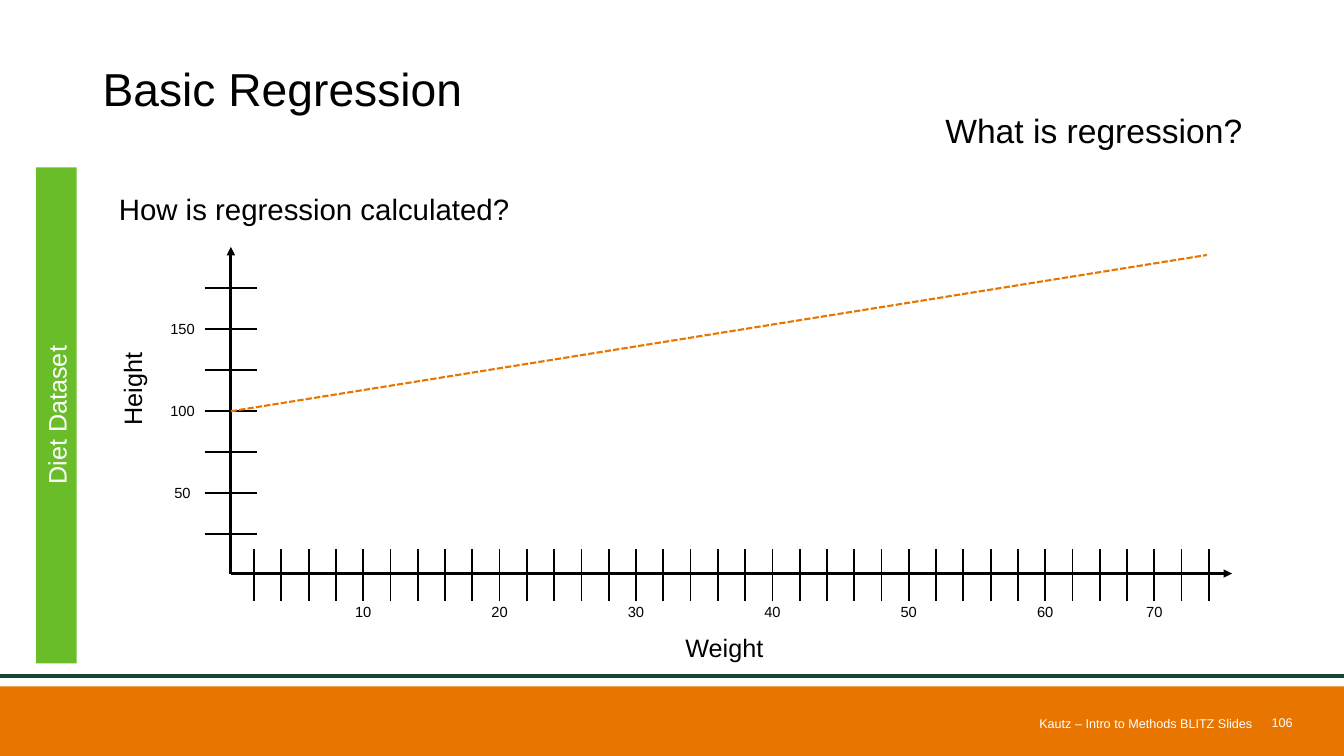
from lxml import etree
from pptx import Presentation
from pptx.dml.color import RGBColor
from pptx.enum.dml import MSO_LINE
from pptx.enum.shapes import MSO_CONNECTOR, MSO_SHAPE
from pptx.enum.text import MSO_ANCHOR, PP_ALIGN
from pptx.oxml.ns import qn
from pptx.util import Inches, Pt

LEFT, CENTER, RIGHT = PP_ALIGN.LEFT, PP_ALIGN.CENTER, PP_ALIGN.RIGHT
TOP, MIDDLE, BOTTOM = MSO_ANCHOR.TOP, MSO_ANCHOR.MIDDLE, MSO_ANCHOR.BOTTOM
STRAIGHT, RECTANGLE = MSO_CONNECTOR.STRAIGHT, MSO_SHAPE.RECTANGLE
DASHED = MSO_LINE.SQUARE_DOT

BLACK, WHITE = "000000", "FFFFFF"
ORANGE, DARK_GREEN, GREEN = "E87500", "154734", "69BD28"
COLUMNS, ROWS = 133.3, 75


def color(hex_text):
    return RGBColor.from_string(hex_text)


class SlideBuilder:
    """Draws on one slide; lengths are grid columns and rows."""

    font = "Arial"

    def __init__(self, deck):
        self.slide = deck.slides.add_slide(deck.slide_layouts[6])
        self.column = deck.slide_width / COLUMNS
        self.row = deck.slide_height / ROWS

    def place(self, x, y):
        return round(x * self.column), round(y * self.row)

    def set_text(self, box, text, size, ink, align, anchor, spacing=1):
        frame = box.text_frame
        frame.word_wrap = True
        frame.vertical_anchor = anchor
        frame.text = text
        para = frame.paragraphs[0]
        para.alignment = align
        para.line_spacing = spacing
        font = para.runs[0].font
        font.name, font.size = self.font, Pt(size)
        font.color.rgb = color(ink)

    def text(self, x, y, width, height, text, size, ink=BLACK, align=CENTER,
             anchor=TOP, spacing=1, rotation=0):
        box = self.slide.shapes.add_textbox(*self.place(x, y), *self.place(width, height))
        box.rotation = rotation
        self.set_text(box, text, size, ink, align, anchor, spacing)
        return box

    def block(self, x, y, width, height, fill):
        shape = self.slide.shapes.add_shape(
            RECTANGLE, *self.place(x, y), *self.place(width, height))
        shape.shadow.inherit = False
        shape.fill.solid()
        shape.fill.fore_color.rgb = color(fill)
        shape.line.fill.background()
        return shape

    def line(self, x1, y1, x2, y2, ink=BLACK, weight=1.25, arrow=False, dash=None):
        connector = self.slide.shapes.add_connector(
            STRAIGHT, *self.place(x1, y1), *self.place(x2, y2))
        connector.line.color.rgb = color(ink)
        connector.line.width = Pt(weight)
        if dash:
            connector.line.dash_style = dash
        properties = connector._element.spPr
        if arrow:
            outline = properties.find(qn("a:ln"))
            etree.SubElement(outline, qn("a:tailEnd"), type="triangle")
        etree.SubElement(properties, qn("a:effectLst"))


def draw_frame(page):
    page.block(0, 68.1, COLUMNS, 6.9, ORANGE)
    page.line(0, 67.1, COLUMNS, 67.1, DARK_GREEN, 3)
    heading = (9.2, 2.7, 115, 12.7)
    page.text(*heading, "Basic Regression", 33, align=LEFT, anchor=MIDDLE, spacing=0.9)
    page.text(*heading, "What is regression?", 24, align=RIGHT, anchor=BOTTOM, spacing=0.9)
    page.text(10.8, 18.9, 115, 47.7, "How is regression calculated?", 21,
              align=LEFT, spacing=0.9)
    page.text(124.2, 70.6, 5, 2.1, "106", 9, WHITE, RIGHT, MIDDLE)
    footer = page.text(44.2, 70.7, 80, 2.1, "Kautz – Intro to Methods BLITZ Slides",
                       9, WHITE, RIGHT, MIDDLE)
    footer.text_frame.margin_right = 0
    banner = page.block(-19, 39.2, 49.2, 4, GREEN)
    banner.rotation = 270
    page.set_text(banner, "Diet Dataset", 18, WHITE, CENTER, MIDDLE)


def draw_plot(page):
    origin_x, origin_y = 22.9, 56.9
    tick_half = 2.6

    first_y, step_y = 53, 4.07
    for index in range(7):
        y = first_y - index * step_y
        page.line(origin_x - tick_half, y, origin_x + tick_half, y)
        if index % 2:
            page.text(15.7, y - 1.4, 4.8, 2.8, str(25 * (index + 1)), 10.5)

    first_x, last_x, gaps = 25.2, 119.9, 35
    labels = {4: "10", 9: "20", 14: "30", 19: "40", 24: "50", 29: "60", 33: "70"}
    for index in range(gaps + 1):
        x = first_x + index * (last_x - first_x) / gaps
        page.line(x, origin_y - 2.4, x, origin_y + 2.7)
        if index in labels:
            page.text(x - 2, 59.3, 4, 2.8, labels[index], 10.5)

    page.line(origin_x, origin_y, origin_x, 24.5, weight=2, arrow=True)
    page.line(origin_x, origin_y, 122.2, origin_y, weight=2, arrow=True)
    page.line(origin_x, 40.8, 119.7, 25.3, ORANGE, 1.5, dash=DASHED)
    page.text(63.8, 62.2, 16.1, 4, "Weight", 18)
    page.text(3.6, 36.6, 19, 4, "Height", 18, rotation=270)


def main():
    deck = Presentation()
    deck.slide_width, deck.slide_height = Inches(13.33), Inches(7.5)
    page = SlideBuilder(deck)
    draw_frame(page)
    draw_plot(page)
    deck.save("out.pptx")


if __name__ == "__main__":
    main()
